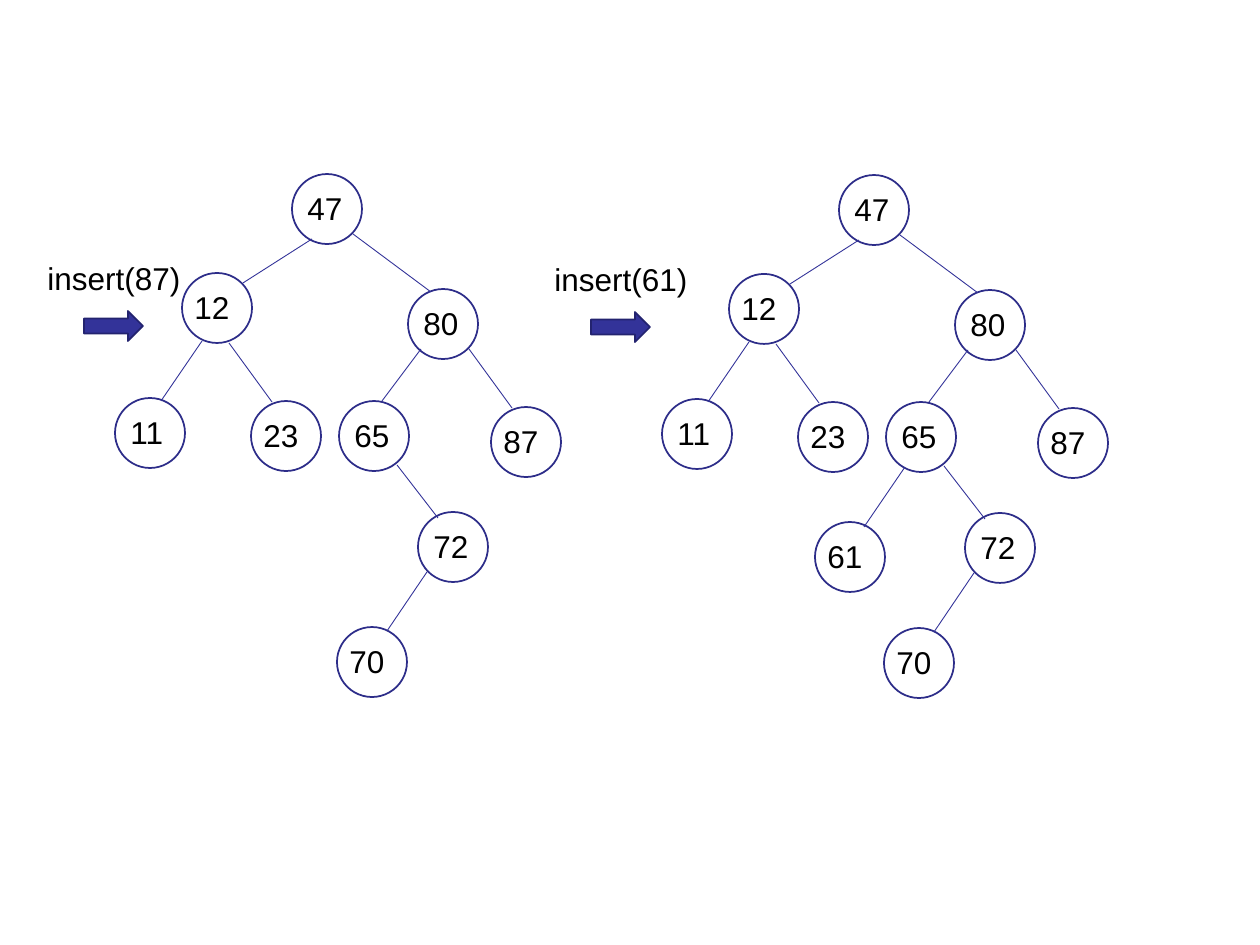
"""Draw two binary search trees, each reached by one insert step."""
from dataclasses import dataclass
from typing import NamedTuple

from lxml import etree
from pptx import Presentation
from pptx import util as u
from pptx.dml.color import RGBColor
from pptx.enum import shapes, text
from pptx.oxml import ns

PX_PER_INCH = 126
DIAMETER = 70
LABEL_DROP = 9
LABEL_HEIGHT = 50


@dataclass(frozen=True)
class Theme:
    font: str = "Arial"
    size: u.Pt = u.Pt(18)
    ink: RGBColor = RGBColor(0, 0, 0)
    node_fill: RGBColor = RGBColor(255, 255, 255)
    node_line: RGBColor = RGBColor.from_string("2D2D89")
    accent: RGBColor = RGBColor.from_string("333399")
    arrow_line: RGBColor = RGBColor.from_string("23236F")
    outline: u.Pt = u.Pt(1)
    hairline: u.Pt = u.Pt(0.5)


class Node(NamedTuple):
    key: int
    left: int
    top: int
    inset: int = 0


class Edge(NamedTuple):
    x1: int
    y1: int
    x2: int
    y2: int


class Stage(NamedTuple):
    inserted: int
    nodes: list[Node]
    edges: list[Edge]
    tree_dx: int
    step_dx: int
    dy: int


THEME = Theme()

SHARED_NODES = [
    Node(23, 251, 401), Node(65, 339, 401, 3), Node(80, 408, 289, 3),
    Node(12, 182, 273), Node(72, 418, 512, 3), Node(70, 337, 627),
    Node(47, 292, 174, 3), Node(11, 115, 398, 3), Node(87, 491, 407),
]
SHARED_EDGES = [
    Edge(353, 234, 431, 292), Edge(312, 239, 243, 283),
    Edge(421, 349, 382, 401), Edge(397, 465, 438, 518),
    Edge(427, 572, 387, 631), Edge(229, 343, 272, 402),
    Edge(202, 341, 161, 401), Edge(469, 349, 512, 408),
]
STAGES = [
    Stage(87, SHARED_NODES, SHARED_EDGES, 0, 0, 0),
    Stage(61, SHARED_NODES + [Node(61, 268, 521)],
          SHARED_EDGES + [Edge(358, 466, 317, 526)], 547, 507, 1),
]


def px(length: int) -> int:
    return round(length * u.Inches(1) / PX_PER_INCH)


def box(left: int, top: int, width: int, height: int) -> tuple[int, ...]:
    return px(left), px(top), px(width), px(height)


def draw_shape(slide, kind, bounds: tuple[int, ...], fill: RGBColor, line: RGBColor) -> None:
    shape = slide.shapes.add_shape(kind, *bounds)
    shape.shadow.inherit = False
    shape.fill.solid()
    shape.fill.fore_color.rgb = fill
    shape.line.color.rgb = line
    shape.line.width = THEME.outline


def draw_label(slide, wording: str, bounds: tuple[int, ...], wrap: bool) -> None:
    frame = slide.shapes.add_textbox(*bounds).text_frame
    frame.word_wrap = wrap
    frame.auto_size = text.MSO_AUTO_SIZE.SHAPE_TO_FIT_TEXT
    paragraph = frame.paragraphs[0]
    paragraph.text = wording
    paragraph.font.name = THEME.font
    paragraph.font.size = THEME.size
    paragraph.font.color.rgb = THEME.ink


def draw_node(slide, node: Node, dx: int, dy: int) -> None:
    left, top = node.left + dx, node.top + dy
    draw_shape(slide, shapes.MSO_SHAPE.OVAL, box(left, top, DIAMETER, DIAMETER),
               THEME.node_fill, THEME.node_line)
    draw_label(slide, str(node.key),
               box(left + node.inset, top + LABEL_DROP, DIAMETER - 2 * node.inset, LABEL_HEIGHT),
               wrap=True)


def draw_edge(slide, edge: Edge, dx: int, dy: int) -> None:
    branch = slide.shapes.add_connector(
        shapes.MSO_CONNECTOR.STRAIGHT, px(edge.x1 + dx), px(edge.y1 + dy),
        px(edge.x2 + dx), px(edge.y2 + dy))
    branch.line.color.rgb = THEME.accent
    branch.line.width = THEME.hairline
    etree.SubElement(branch._element.spPr, ns.qn("a:effectLst"))


def draw_stage(slide, stage: Stage) -> None:
    for node in stage.nodes:
        draw_node(slide, node, stage.tree_dx, stage.dy)
    for edge in stage.edges:
        draw_edge(slide, edge, stage.tree_dx, stage.dy)
    draw_shape(slide, shapes.MSO_SHAPE.RIGHT_ARROW,
               box(84 + stage.step_dx, 311 + stage.dy, 59, 30),
               THEME.accent, THEME.arrow_line)
    draw_label(slide, f"insert({stage.inserted})",
               box(35 + stage.step_dx, 253 + stage.dy, 158, LABEL_HEIGHT), wrap=False)


def main() -> None:
    deck = Presentation()
    deck.slide_width, deck.slide_height = u.Inches(10), u.Inches(7.5)
    slide = deck.slides.add_slide(deck.slide_layouts[6])
    for stage in STAGES:
        draw_stage(slide, stage)
    deck.save("out.pptx")


if __name__ == "__main__":
    main()
